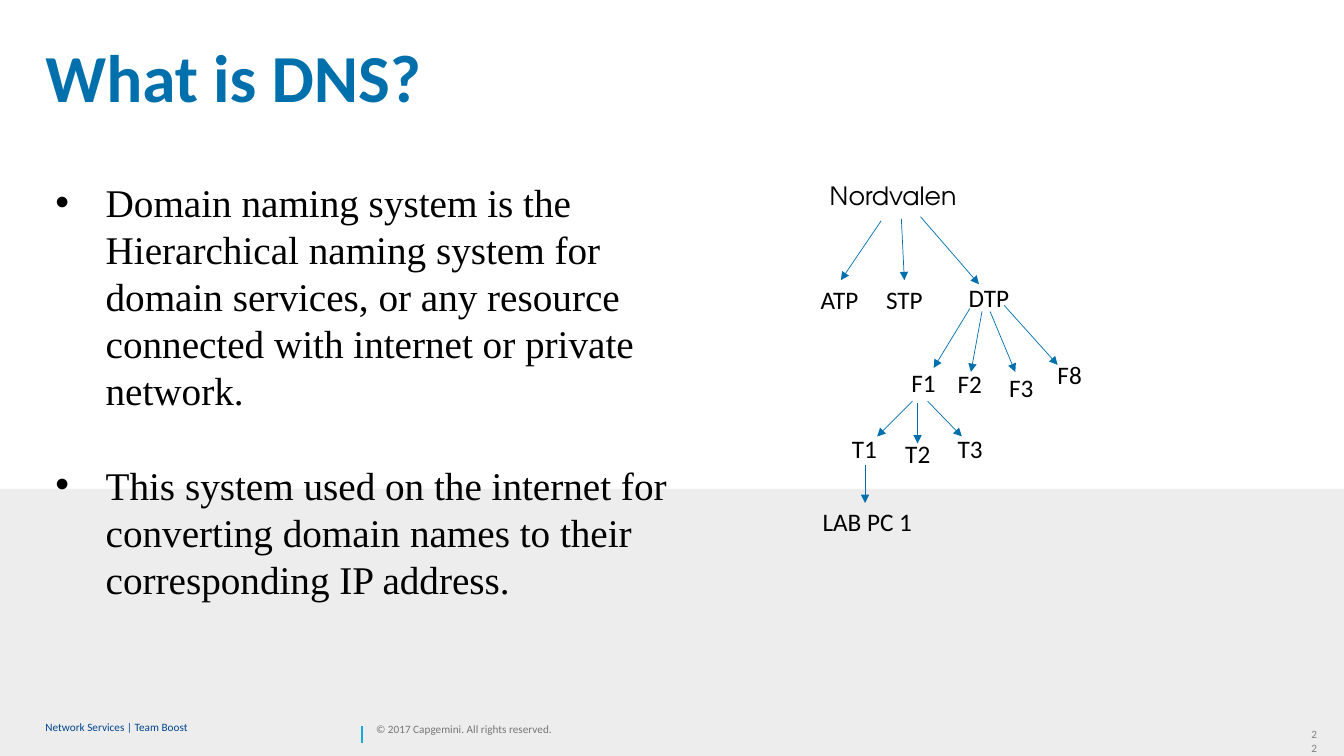
from lxml import etree
from pptx import Presentation
from pptx.dml.color import RGBColor
from pptx.enum.shapes import MSO_CONNECTOR as LINE, MSO_SHAPE as SHAPE
from pptx.enum.text import MSO_ANCHOR as ANCHOR, PP_ALIGN as ALIGN
from pptx.oxml.ns import qn
from pptx.util import Inches, Pt

BLUE = "0070AD"
MARGIN = 0.45

# Label: left, top and width inside the tree box
NODES = {
    "Nordvalen": (0.09, 0, 1.71),
    "ATP": (0, 1.03, 0.84),
    "STP": (0.65, 1.03, 0.74),
    "DTP": (1.47, 1.01, 0.67),
    "F1": (0.9, 1.85, 0.48),
    "F2": (1.36, 1.86, 0.54),
    "F3": (1.87, 1.9, 0.49),
    "F8": (2.35, 1.78, 0.57),
    "T1": (0.31, 2.51, 0.51),
    "T2": (0.84, 2.56, 0.62),
    "T3": (1.36, 2.51, 0.67),
    "LAB PC 1": (0.02, 3.23, 1.12),
}
# Start x, start y, end x, end y inside the tree box
ARROWS = [
    (0.7, 0.45, 0.3, 1.04), (0.9, 0.43, 0.93, 1.04), (1.09, 0.41, 1.67, 1.08),
    (1.58, 1.32, 1.22, 1.91), (1.7, 1.35, 1.59, 1.95),
    (1.78, 1.35, 2.03, 1.95), (1.92, 1.29, 2.45, 1.88),
    (1.01, 2.24, 0.66, 2.59), (1.06, 2.26, 1.06, 2.66), (1.16, 2.24, 1.5, 2.59),
    (0.54, 2.87, 0.54, 3.25),
]
BULLETS = [
    "Domain naming system is the Hierarchical naming system for domain services, "
    "or any resource connected with internet or private network.",
    "This system used on the internet for converting domain names to their "
    "corresponding IP address.",
]


def color(hex_string):
    return RGBColor.from_string(hex_string)


def format_font(font, hex_string, **values):
    font.color.rgb = color(hex_string)
    for name, value in values.items():
        setattr(font, name, value)


def format_frame(frame, inset=None, **values):
    frame.word_wrap = True
    if inset is not None:
        for side in ("left", "top", "right", "bottom"):
            setattr(frame, f"margin_{side}", Inches(inset))
    for name, value in values.items():
        setattr(frame, name, value)


def add_label(slide, box, text, hex_string, size, face="Calibri", **frame_values):
    """Add one line of text in box and return its paragraph."""
    frame = slide.shapes.add_textbox(*map(Inches, box)).text_frame
    format_frame(frame, **frame_values)
    paragraph = frame.paragraphs[0]
    paragraph.text = text
    format_font(paragraph.font, hex_string, size=Pt(size), name=face)
    return paragraph


def add_line(slide, ends, hex_string, width, arrow=False):
    line = slide.shapes.add_connector(LINE.STRAIGHT, *map(Inches, ends))
    line.line.color.rgb = color(hex_string)
    line.line.width = Pt(width)
    properties = line.element.spPr
    if arrow:
        outline = properties.find(qn("a:ln"))
        etree.SubElement(outline, qn("a:tailEnd"), type="triangle")
    etree.SubElement(properties, qn("a:effectLst"))


def add_lower_band(slide, box):
    band = slide.shapes.add_shape(SHAPE.RECTANGLE, *map(Inches, box))
    band.shadow.inherit = False
    band.fill.solid()
    band.fill.fore_color.rgb = color("EDEDED")
    band.line.fill.background()


def add_footer(slide, box):
    left, top, width, height = box
    centred = {"inset": 0, "anchor": ANCHOR.MIDDLE}
    number = add_label(slide, (left + width - 0.27, top, 0.27, height),
                       "22", "808080", 8)
    number.alignment = ALIGN.RIGHT
    divider = left + 3.14
    add_line(slide, (divider, top + 0.2, divider, top + 0.03), "12ABDB", 1)
    add_label(slide, (divider + 0.14, top, 2.43, height),
              "© 2017 Capgemini. All rights reserved.", "767676", 8, **centred)
    team = add_label(slide, (left, top, 3.09, height),
                     "Network Services | Team Boost", "00458D", 8, **centred)
    team.line_spacing = 0.85


def fill_title(slide, box):
    title = slide.shapes.title
    title.left, title.top, title.width, title.height = map(Inches, box)
    format_frame(title.text_frame, inset=0, vertical_anchor=ANCHOR.TOP)
    paragraph = title.text_frame.paragraphs[0]
    paragraph.text = "What is DNS?"
    paragraph.alignment = ALIGN.LEFT
    paragraph.line_spacing = 0.9
    format_font(paragraph.font, BLUE, size=Pt(48), name="Calibri", bold=True)


def add_tree(slide, box):
    left, top = box[:2]
    for label, (x, y, width) in NODES.items():
        face = "TeX Gyre Adventor" if label == "Nordvalen" else "Calibri"
        add_label(slide, (left + x, top + y, width, 0.4), label, "000000", 18, face)
    for x1, y1, x2, y2 in ARROWS:
        add_line(slide, (left + x1, top + y1, left + x2, top + y2), BLUE, 0.5, True)


def add_bullets(slide, box):
    frame = slide.shapes.add_textbox(*map(Inches, box)).text_frame
    format_frame(frame)
    for index, text in enumerate(BULLETS):
        paragraph = frame.add_paragraph() if index else frame.paragraphs[0]
        paragraph.text = text
        properties = paragraph._p.get_or_add_pPr()
        properties.set("marL", str(Inches(0.5)))
        properties.set("indent", str(Inches(-0.5)))
        etree.SubElement(properties, qn("a:buFont"), typeface="Arial")
        etree.SubElement(properties, qn("a:buChar"), char="•")
        if index:
            paragraph.space_before = Pt(33.7)
        format_font(paragraph.font, "000000", size=Pt(28), name="Times New Roman")


def build_dns_slide(presentation):
    slide = presentation.slides.add_slide(presentation.slide_layouts[5])
    add_lower_band(slide, (0, 4.85, 13.33, 2.65))
    add_footer(slide, (MARGIN, 7.17, 12.71, 0.24))
    fill_title(slide, (MARGIN, 0.44, 12.05, 0.94))
    add_tree(slide, (8.04, 1.74, 2.92, 3.63))
    add_bullets(slide, (MARGIN, 1.72, 6.73, 4.34))


def main():
    presentation = Presentation()
    presentation.slide_width = Inches(13.33)
    presentation.slide_height = Inches(7.5)
    build_dns_slide(presentation)
    presentation.save("out.pptx")


if __name__ == "__main__":
    main()
